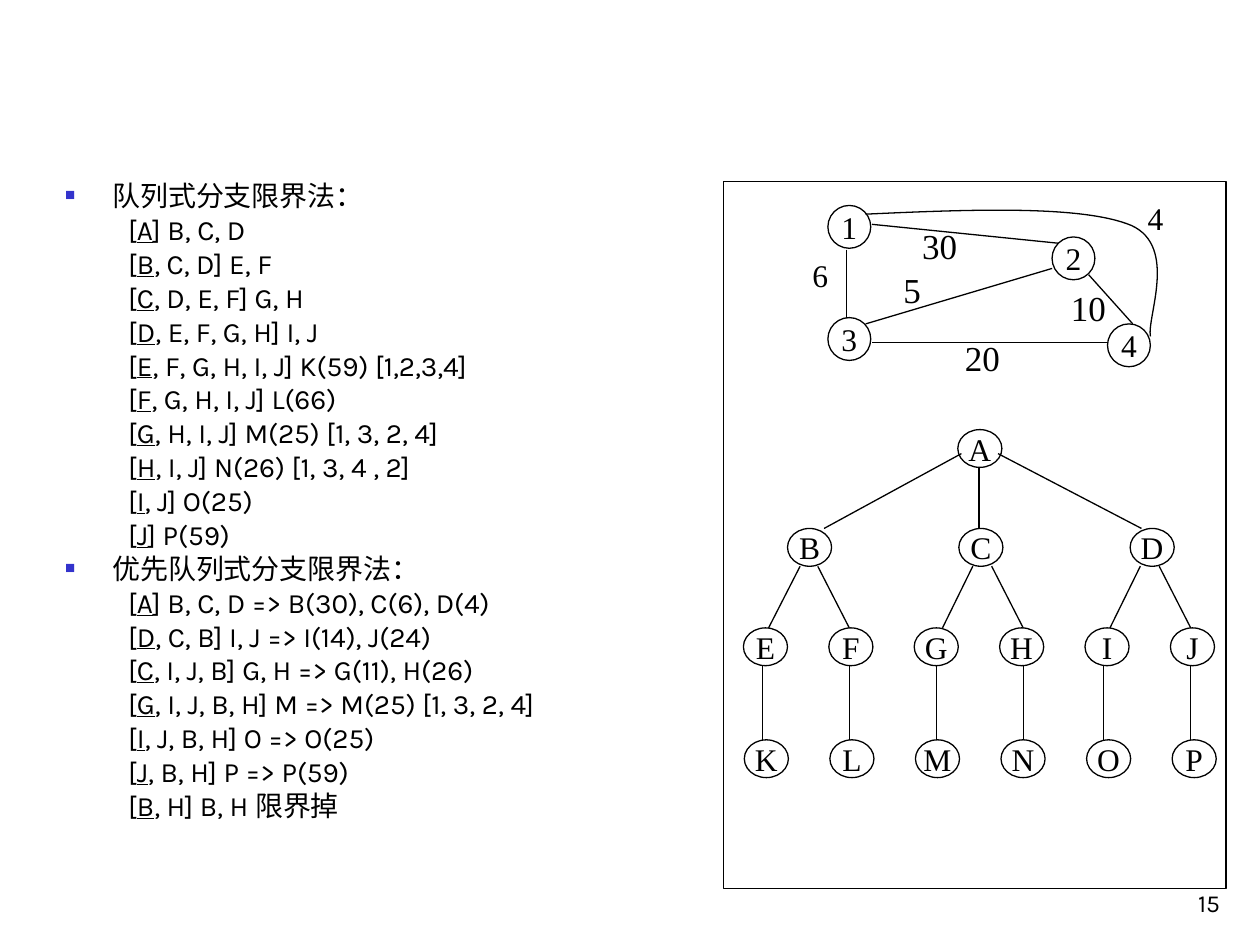
from lxml.etree import SubElement
from pptx import Presentation
from pptx.dml.color import RGBColor
from pptx.enum.shapes import MSO_CONNECTOR as Connector, MSO_SHAPE as Shape
from pptx.enum.text import MSO_ANCHOR as Anchor, MSO_AUTO_SIZE as AutoSize, PP_ALIGN as Align
from pptx.oxml.ns import qn
from pptx.util import Pt

COLORS = {"ink": "000000", "paper": "FFFFFF", "bullet": "3333CC"}
BODY_FONT, GRAPH_FONT = "Karla", "Times New Roman"

QUEUE_STEPS = [
    ("队列式分支限界法：", [
        "[A] B, C, D",
        "[B, C, D] E, F",
        "[C, D, E, F] G, H",
        "[D, E, F, G, H] I, J",
        "[E, F, G, H, I, J] K(59) [1,2,3,4]",
        "[F, G, H, I, J] L(66)",
        "[G, H, I, J] M(25) [1, 3, 2, 4]",
        "[H, I, J] N(26) [1, 3, 4 , 2]",
        "[I, J] O(25)",
        "[J] P(59)",
    ]),
    ("优先队列式分支限界法：", [
        "[A] B, C, D => B(30), C(6), D(4)",
        "[D, C, B] I, J => I(14), J(24)",
        "[C, I, J, B] G, H => G(11), H(26)",
        "[G, I, J, B, H] M => M(25) [1, 3, 2, 4]",
        "[I, J, B, H] O => O(25)",
        "[J, B, H] P => P(59)",
        "[B, H] B, H 限界掉",
    ]),
]


def rgb(name):
    return RGBColor.from_string(COLORS[name])


def style_font(font, size, face):
    font.size, font.name = Pt(size), face
    font.color.rgb = rgb("ink")


def style_outline(shape):
    shape.line.color.rgb = rgb("ink")
    shape.line.width = Pt(0.75)


def add_outlined(slide, kind, left, top, width, height):
    shape = slide.shapes.add_shape(kind, Pt(left), Pt(top), Pt(width), Pt(height))
    shape.shadow.inherit = False
    shape.fill.solid()
    shape.fill.fore_color.rgb = rgb("paper")
    style_outline(shape)
    return shape


def add_node(slide, label, left, top, width, height):
    node = add_outlined(slide, Shape.OVAL, left, top, width, height)
    frame = node.text_frame
    frame.text = label
    frame.word_wrap = False
    frame.vertical_anchor = Anchor.MIDDLE
    frame.paragraphs[0].alignment = Align.CENTER
    style_font(frame.paragraphs[0].runs[0].font, 18, GRAPH_FONT)


def add_edge(slide, x1, y1, x2, y2):
    edge = slide.shapes.add_connector(Connector.STRAIGHT, Pt(x1), Pt(y1), Pt(x2), Pt(y2))
    style_outline(edge)
    SubElement(edge._element.spPr, qn("a:effectLst"))


def add_label(slide, text, left, top, width, height, size, face):
    label = slide.shapes.add_textbox(Pt(left), Pt(top), Pt(width), Pt(height))
    label.text_frame.text = text
    label.text_frame.word_wrap = False
    style_font(label.text_frame.paragraphs[0].runs[0].font, size, face)
    return label.text_frame


def add_curve(slide, points):
    """Draw a chain of cubic curves: a start, then three points for each piece."""
    start, *rest = [(Pt(x), Pt(y)) for x, y in points]
    builder = slide.shapes.build_freeform(*start)
    builder.add_line_segments(rest, close=False)
    curve = builder.convert_to_shape()
    curve.shadow.inherit = False
    curve.fill.background()
    style_outline(curve)
    outline = curve._element.find(".//" + qn("a:path"))
    segments = outline.findall(qn("a:lnTo"))
    for first in range(0, len(segments), 3):
        cubic = SubElement(outline, qn("a:cubicBezTo"))
        for segment in segments[first:first + 3]:
            cubic.append(segment[0])
            outline.remove(segment)


def set_bullet(paragraph, margin, indent, char=None):
    props = paragraph._p.get_or_add_pPr()
    props.set("marL", str(Pt(margin)))
    props.set("indent", str(Pt(indent)))
    if char is None:
        SubElement(props, qn("a:buNone"))
        return
    color = SubElement(props, qn("a:buClr"))
    SubElement(color, qn("a:srgbClr"), val=COLORS["bullet"])
    SubElement(props, qn("a:buSzPct"), val="60000")
    SubElement(props, qn("a:buChar"), char=char)


def fill_steps(body, left, top, width, height):
    body.left, body.top, body.width, body.height = Pt(left), Pt(top), Pt(width), Pt(height)
    frame = body.text_frame
    frame.word_wrap = True
    frame.auto_size = AutoSize.NONE
    lines = []
    for heading, steps in QUEUE_STEPS:
        lines += [(0, heading)] + [(1, step) for step in steps]
    for index, (level, line) in enumerate(lines):
        paragraph = frame.add_paragraph() if index else frame.paragraphs[0]
        paragraph.level = level
        if level:
            set_bullet(paragraph, 58.5, -22.5)
            pieces = [line[0], line[1], line[2:]]  # the head of the queue is underlined
        else:
            set_bullet(paragraph, 27, -27, "■")
            pieces = [line]
        paragraph.line_spacing = 0.8
        paragraph.space_before = Pt(4 if index else 0)
        for place, piece in enumerate(pieces):
            run = paragraph.add_run()
            run.text = piece
            style_font(run.font, 16, BODY_FONT)
            if place == 1:
                run.font.underline = True


def draw_weighted_graph(slide, left, top):
    nodes = {"1": (59.8, 13.7), "2": (187.9, 31.7), "3": (59.8, 77.8), "4": (219.6, 81.4)}
    for label, (x, y) in nodes.items():
        add_node(slide, label, left + x, top + y, 24.5, 24.5)
    edges = [(70.6, 38.9, 70.6, 77.8), (85, 92.2, 219.6, 92.2), (85, 24.5, 191.5, 35.3),
             (208.8, 53.3, 234, 81.4), (187.9, 49.7, 81.4, 81.4)]
    for x1, y1, x2, y2 in edges:
        add_edge(slide, left + x1, top + y1, left + x2, top + y2)
    arc = [(81.4, 18.7), (144, 15.8), (205.9, 13.7), (233.3, 25.2),
           (259.9, 37.4), (241.9, 77.8), (244.1, 88.6)]
    add_curve(slide, [(left + x, top + y) for x, y in arc])
    weights = [("6", 43.9, 38.9, 18), ("4", 235.4, 6.5, 18), ("30", 106.6, 20.9, 20),
               ("20", 131, 85, 20), ("5", 95.8, 46.1, 20), ("10", 191.5, 56.2, 20)]
    for text, x, y, size in weights:
        add_label(slide, text, left + x, top + y, 14.4 + len(text) * size / 2,
                  7.2 + size * 1.2, size, GRAPH_FONT)


def draw_search_tree(slide, left, top):
    node_width, node_height = 25.2, 21.6
    row_tops = [0, 56.5, 113.3, 177.3]
    # Nodes: labels, first left edge and step of each row
    rows = [("A", 134, 0), ("BCD", 36.7, 97.9), ("EFGHIJ", 11.5, 48.8), ("KLMNOP", 12, 48.9)]
    for (labels, first, step), y in zip(rows, row_tops):
        for column, label in enumerate(labels):
            add_node(slide, label, left + first + column * step, top + y, node_width, node_height)
    # Branches: upper and lower ends of each level
    leaf_xs = [22.3, 72, 121.7, 171.4, 217.4, 267.1]
    levels = [
        ([136.1, 146.2, 157], [57.6, 146.2, 239]),
        ([43.9, 54, 142.6, 153.4, 238.3, 249.1], [25.9, 72, 125.3, 171.4, 221, 267.1]),
        (leaf_xs, leaf_xs),
    ]
    for depth, (upper, lower) in enumerate(levels):
        for x1, x2 in zip(upper, lower):
            side_branch = depth == 0 and x1 != x2
            y1 = 13.7 if side_branch else row_tops[depth] + node_height
            add_edge(slide, left + x1, top + y1, left + x2, top + row_tops[depth + 1])


def draw_panel(slide, left, top, width, height):
    add_outlined(slide, Shape.RECTANGLE, left, top, width, height)
    draw_weighted_graph(slide, left, top)
    draw_search_tree(slide, left, top + 141.8)


def add_page_number(slide, left, top, width, height):
    frame = add_label(slide, "15", left, top, width, height, 14, BODY_FONT)
    frame.word_wrap = True
    frame.vertical_anchor = Anchor.BOTTOM
    frame.paragraphs[0].alignment = Align.RIGHT


def main():
    deck = Presentation()
    deck.slide_width, deck.slide_height = Pt(720), Pt(540)
    slide = deck.slides.add_slide(deck.slide_layouts[1])
    title = slide.shapes.title
    title._element.getparent().remove(title._element)
    add_page_number(slide, 554.4, 491.8, 149.8, 36)
    fill_steps(slide.placeholders[1], 30, 102.2, 344.2, 401.8)
    draw_panel(slide, 413.3, 103.7, 287.3, 403.9)
    deck.save("out.pptx")


if __name__ == "__main__":
    main()
